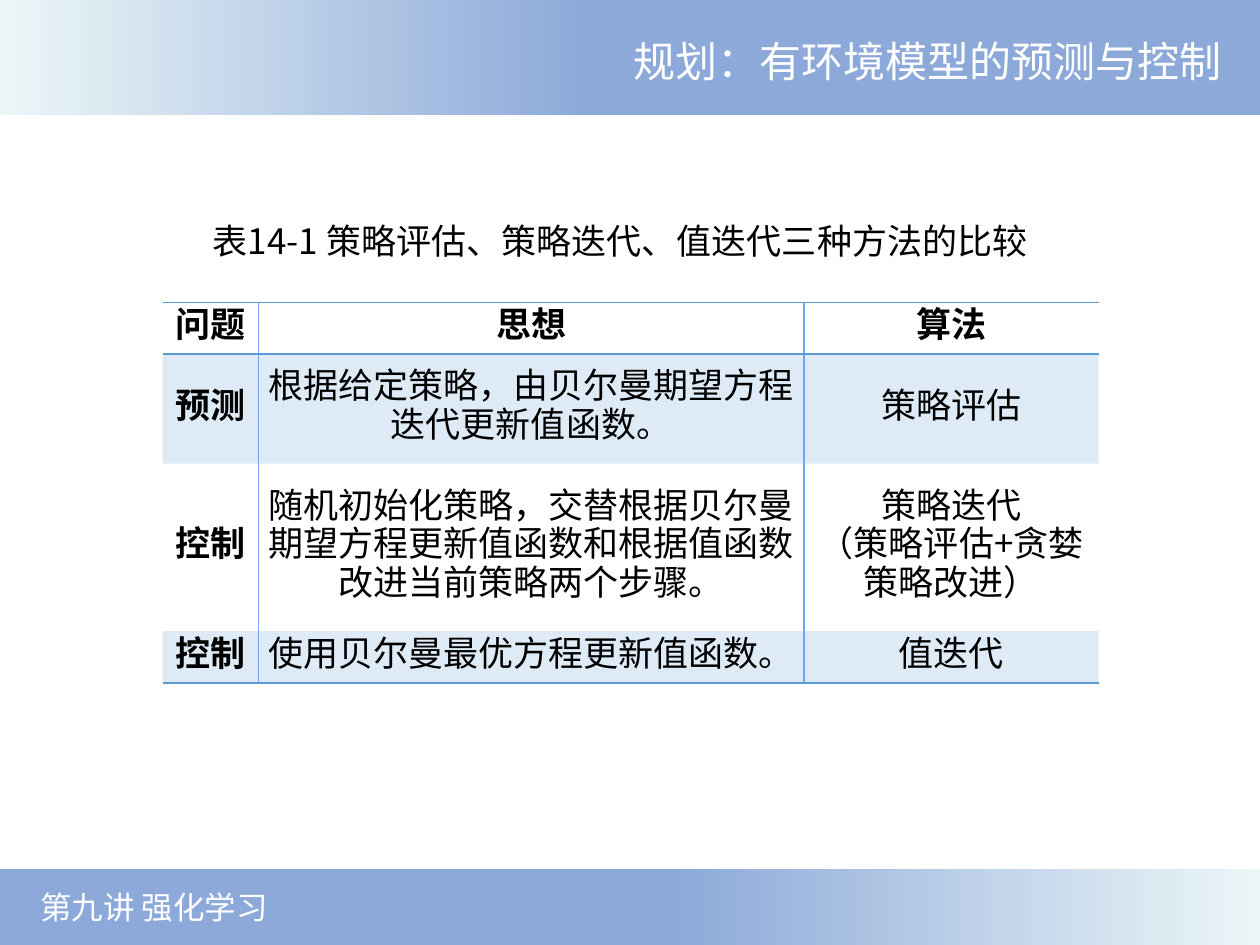
from dataclasses import dataclass

from lxml import etree
from pptx import Presentation
from pptx.dml.color import RGBColor
from pptx.enum import shapes, text
from pptx.oxml import ns
from pptx.util import Inches, Pt

BAND_BLUE = RGBColor(0x8C, 0xA9, 0xD9)
BAND_PALE = RGBColor(0xEB, 0xF6, 0xF7)
RULE_BLUE = RGBColor(0x5B, 0x9B, 0xD5)
DIVIDER_BLUE = RGBColor(0x71, 0xA3, 0xF5)
WHITE = RGBColor(0xFF, 0xFF, 0xFF)
BLACK = RGBColor(0, 0, 0)
LATIN_FONT = "Arial"
CJK_FONT = "Noto Sans CJK SC"

COLUMN_WIDTHS = (0.76, 4.33, 2.34)
ROW_HEIGHTS = (0.41, 0.87, 1.33, 0.41)
COMPARISON = (
    ("问题", "思想", "算法"),
    ("预测", "根据给定策略，由贝尔曼期望方程迭代更新值函数。", "策略评估"),
    ("控制", "随机初始化策略，交替根据贝尔曼期望方程更新值函数和根据值函数改进当前策略两个步骤。",
     "策略迭代\n（策略评估+贪婪策略改进）"),
    ("控制", "使用贝尔曼最优方程更新值函数。", "值迭代"),
)


@dataclass
class Band:
    top: float
    height: float
    angle: int


@dataclass
class TextStyle:
    size: int
    color: RGBColor
    font: str
    align: text.PP_ALIGN = text.PP_ALIGN.LEFT
    bold: bool = False
    line_spacing: int | None = None


def write(frame, content: str, style: TextStyle) -> None:
    frame.text = content
    for paragraph in frame.paragraphs:
        paragraph.alignment = style.align
        if style.line_spacing:
            paragraph.line_spacing = Pt(style.line_spacing)
        font = paragraph.font
        font.size, font.bold, font.name = Pt(style.size), style.bold, style.font
        font.color.rgb = style.color
        properties = paragraph._p.pPr.find(ns.qn("a:defRPr"))
        etree.SubElement(properties, ns.qn("a:ea"), typeface=CJK_FONT)


def add_band(slide, band: Band):
    shape = slide.shapes.add_shape(shapes.MSO_SHAPE.RECTANGLE, 0, Inches(band.top),
                                   Inches(10), Inches(band.height))
    shape.shadow.inherit = False
    shape.line.fill.background()
    shape.fill.gradient()
    shape.fill.gradient_angle = band.angle
    stops = ((0.53, BAND_BLUE), (1, BAND_PALE))
    for stop, (position, color) in zip(shape.fill.gradient_stops, stops):
        stop.position = position
        stop.color.rgb = color
    return shape


def add_label(slide, left: float, top: float, width: float, height: float,
              content: str, style: TextStyle, anchor: text.MSO_ANCHOR) -> None:
    box = slide.shapes.add_textbox(Inches(left), Inches(top), Inches(width), Inches(height))
    box.text_frame.vertical_anchor = anchor
    box.text_frame.word_wrap = False
    write(box.text_frame, content, style)


def set_borders(cell, edges: dict[str, RGBColor | None]) -> None:
    properties = cell._tc.get_or_add_tcPr()
    for edge in ("lnL", "lnR", "lnT", "lnB"):
        line = etree.SubElement(properties, ns.qn(f"a:{edge}"), w=str(Pt(1)))
        color = edges[edge]
        if color is None:
            etree.SubElement(line, ns.qn("a:noFill"))
        else:
            fill = etree.SubElement(line, ns.qn("a:solidFill"))
            etree.SubElement(fill, ns.qn("a:srgbClr"), val=str(color))


def set_tint(cell, color: RGBColor, percent: int) -> None:
    cell.fill.solid()
    cell.fill.fore_color.rgb = color
    value = cell._tc.tcPr.find(f"{ns.qn('a:solidFill')}/{ns.qn('a:srgbClr')}")
    etree.SubElement(value, ns.qn("a:alpha"), val=str(percent * 1000))


def add_comparison(slide) -> None:
    last_row, last_column = len(ROW_HEIGHTS) - 1, len(COLUMN_WIDTHS) - 1
    table = slide.shapes.add_table(
        len(ROW_HEIGHTS), len(COLUMN_WIDTHS), Inches(1.29), Inches(2.4),
        Inches(sum(COLUMN_WIDTHS)), Inches(sum(ROW_HEIGHTS))).table
    table.first_row = table.horz_banding = False
    for column, width in zip(table.columns, COLUMN_WIDTHS):
        column.width = Inches(width)
    for r, (row, height, contents) in enumerate(zip(table.rows, ROW_HEIGHTS, COMPARISON)):
        row.height = Inches(height)
        for c, (cell, content) in enumerate(zip(row.cells, contents)):
            cell.margin_left = cell.margin_right = Inches(0.07)
            cell.margin_top = cell.margin_bottom = 0
            cell.vertical_anchor = text.MSO_ANCHOR.MIDDLE
            write(cell.text_frame, content,
                  TextStyle(20, BLACK, CJK_FONT, text.PP_ALIGN.CENTER,
                            bold=r == 0 or c == 0, line_spacing=22))
            # Rules frame the header and close the table; dividers split columns
            set_borders(cell, {
                "lnL": DIVIDER_BLUE if c > 0 else None,
                "lnR": DIVIDER_BLUE if c < last_column else None,
                "lnT": RULE_BLUE if r in (0, 1) else None,
                "lnB": RULE_BLUE if r in (0, last_row) else None,
            })
            if r % 2:
                set_tint(cell, RULE_BLUE, 20)
            else:
                cell.fill.background()


def main() -> None:
    presentation = Presentation()
    presentation.slide_width, presentation.slide_height = Inches(10), Inches(7.5)
    slide = presentation.slides.add_slide(presentation.slide_layouts[6])

    # Header and footer bands
    add_band(slide, Band(0, 0.91, 180))
    footer = add_band(slide, Band(6.9, 0.6, 0))
    footer.text_frame.margin_left = Inches(0.32)
    footer.text_frame.vertical_anchor = text.MSO_ANCHOR.MIDDLE
    write(footer.text_frame, "第九讲 强化学习", TextStyle(18, WHITE, LATIN_FONT))

    # Title
    add_label(slide, 4.93, 0.13, 4.87, 0.7, "规划：有环境模型的预测与控制",
              TextStyle(24, WHITE, LATIN_FONT, text.PP_ALIGN.CENTER), text.MSO_ANCHOR.MIDDLE)

    # Table and its caption
    add_comparison(slide)
    add_label(slide, 1.59, 1.69, 6.82, 0.44, "表14-1 策略评估、策略迭代、值迭代三种方法的比较",
              TextStyle(20, BLACK, CJK_FONT), text.MSO_ANCHOR.TOP)

    presentation.save("out.pptx")


if __name__ == "__main__":
    main()
